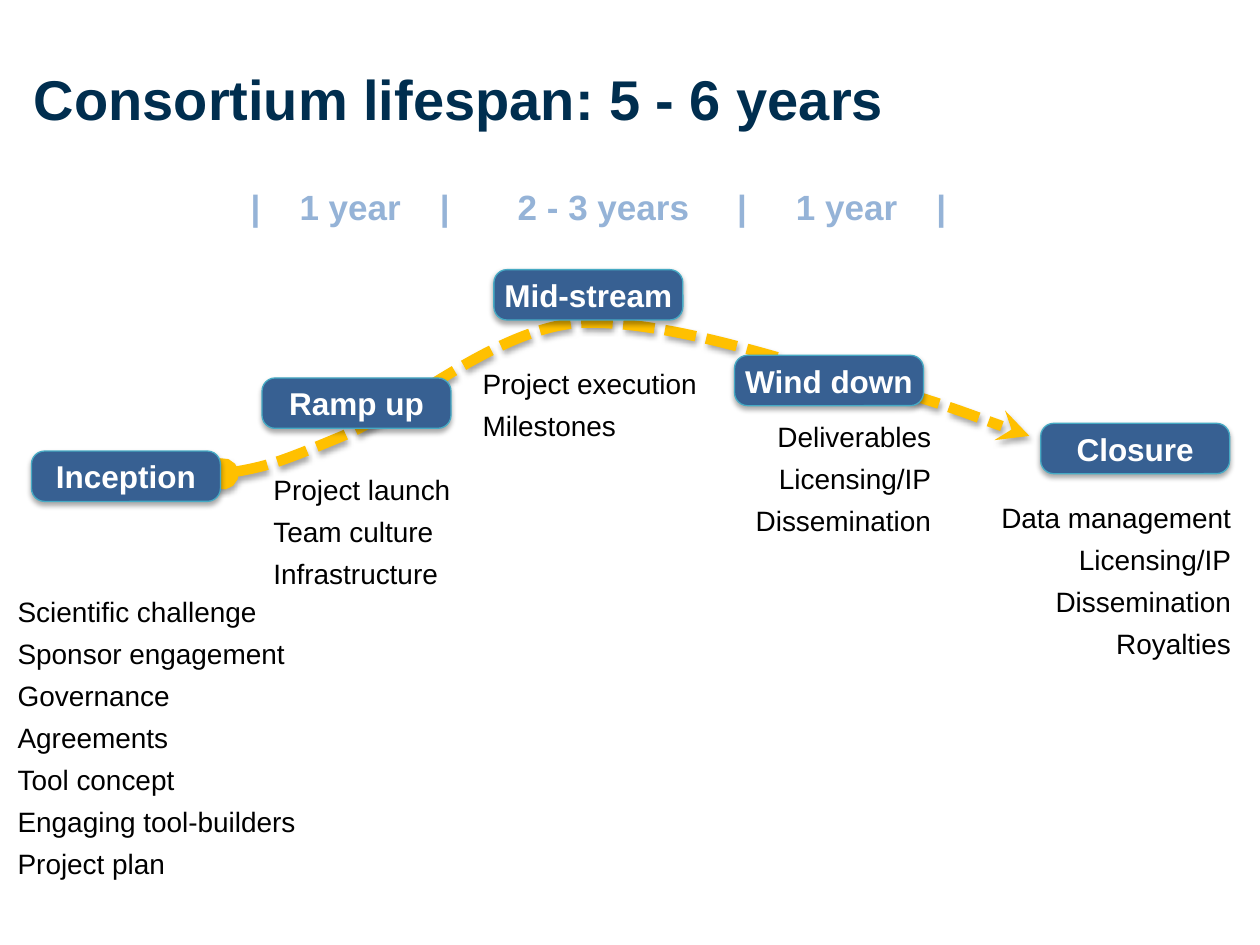
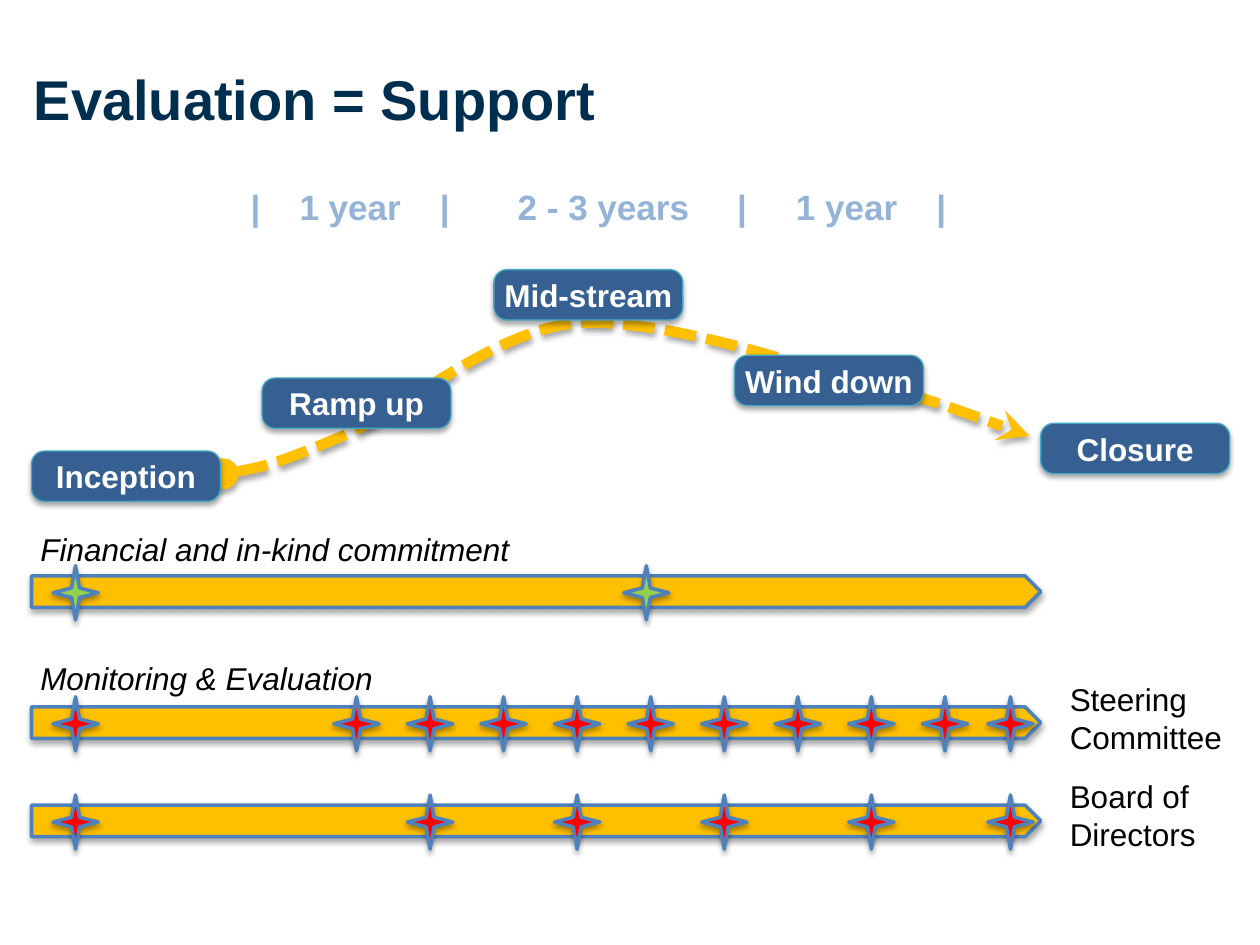
from lxml.etree import SubElement
from pptx import Presentation
from pptx.dml.color import RGBColor
from pptx.enum.dml import MSO_LINE
from pptx.enum.shapes import MSO_SHAPE
from pptx.enum.text import MSO_ANCHOR, MSO_AUTO_SIZE, PP_ALIGN
from pptx.oxml.ns import qn
from pptx.util import Inches, Pt

COLORS = {
    "title": "002E4F", "duration": "95B3D7", "text": "000000", "white": "FFFFFF",
    "stage": "376092", "stage_line": "46AAC4", "gold": "FFC000",
    "outline": "4F81BD", "green": "92D050", "red": "FF0000",
}
FORMATS = {
    "title": {"size": Pt(32), "bold": True},
    "duration": {"size": Pt(20), "bold": True},
    "stage": {"size": Pt(18), "bold": True},
    "list": {"size": Pt(16)},
    "heading": {"size": Pt(18), "italic": True},
    "label": {"size": Pt(18)},
}
STAGES = [("Inception", 0.25, 3.58), ("Ramp up", 2.08, 3), ("Mid-stream", 3.92, 2.14),
          ("Wind down", 5.83, 2.82), ("Closure", 8.26, 3.36)]
# Start point, then three points (two controls and an end) for each curve
LIFE_CURVE = [(1.77, 3.76),
              (2.1, 3.71), (2.24, 3.66), (2.72, 3.46),
              (3.21, 3.26), (4, 2.54), (4.7, 2.56),
              (5.4, 2.57), (6.21, 2.86), (6.79, 3.01),
              (7.37, 3.16), (7.94, 3.38), (8.17, 3.46)]
DURATIONS = "|\t1 year\t|\t2 - 3 years\t|\t1 year\t|"
DURATION_TABS = [0.79, 1.54, 2.8, 3.9, 4.73, 5.48]
TASKS = [
    ((0.09, 4.67, 2.33, 2.32), 0.05, PP_ALIGN.LEFT,
     ["Scientific challenge", "Sponsor engagement", "Governance", "Agreements",
      "Tool concept", "Engaging tool-builders", "Project plan"]),
    ((2.17, 3.75, 1.42, 0.92), 0, PP_ALIGN.LEFT,
     ["Project launch", "Team culture", "Infrastructure"]),
    ((3.83, 2.91, 1.72, 0.59), 0, PP_ALIGN.LEFT, ["Project execution", "Milestones"]),
    ((5.98, 3.33, 1.41, 0.92), 0, PP_ALIGN.RIGHT,
     ["Deliverables", "Licensing/IP", "Dissemination"]),
    ((7.92, 3.97, 1.85, 1.28), 0, PP_ALIGN.RIGHT,
     ["Data management", "Licensing/IP", "Dissemination", "Royalties"]),
]
FUNDING_STARS = [0.42, 4.95]
STEERING_STARS = [0.42, *(2.65 + step * 4.67 / 8 for step in range(9)), 7.84]
BOARD_STARS = STEERING_STARS[::2]


def rgb(name):
    return RGBColor.from_string(COLORS[name])


class Composer:
    def __init__(self, deck):
        self.deck = deck
        self.page = None

    def new_page(self, title):
        self.page = self.deck.slides.add_slide(self.deck.slide_layouts[6])
        self.text((0.17, 0.24, 9.58, 1.07), [title], "title", "title", inset=0.1,
                  wrap=True, anchor=MSO_ANCHOR.MIDDLE)

    def fill_frame(self, frame, lines, style, color, inset=0.05, align=PP_ALIGN.LEFT,
                   wrap=False, anchor=MSO_ANCHOR.TOP, tabs=()):
        """Put one formatted paragraph per line into a text frame."""
        layout = {"word_wrap": wrap, "vertical_anchor": anchor}
        layout.update((f"margin_{side}", Inches(inset))
                      for side in ("left", "top", "right", "bottom"))
        for name, value in layout.items():
            setattr(frame, name, value)
        for index, line in enumerate(lines):
            para = frame.add_paragraph() if index else frame.paragraphs[0]
            para.text = line
            para.alignment = align
            if index:
                para.space_before = Pt(4.8)
            if tabs:
                stops = SubElement(para._p.get_or_add_pPr(), qn("a:tabLst"))
                for stop in tabs:
                    SubElement(stops, qn("a:tab"), pos=str(Inches(stop)), algn="ctr")
            for span in para.runs:
                span.font.name = "Arial"
                span.font.color.rgb = rgb(color)
                for name, value in FORMATS[style].items():
                    setattr(span.font, name, value)

    def text(self, place, lines, style, color="text", **options):
        box = self.page.shapes.add_textbox(*map(Inches, place))
        self.fill_frame(box.text_frame, lines, style, color, **options)
        if style != "title":
            box.text_frame.auto_size = MSO_AUTO_SIZE.SHAPE_TO_FIT_TEXT

    def finish(self, shape, line, width, fill=None):
        """Give a shape its fill, outline and soft drop shadow."""
        if fill:
            shape.fill.solid()
            shape.fill.fore_color.rgb = rgb(fill)
        else:
            shape.fill.background()
        shape.line.color.rgb = rgb(line)
        shape.line.width = Pt(width)
        shape.shadow.inherit = False
        effects = shape.element.spPr.find(qn("a:effectLst"))
        shadow = SubElement(effects, qn("a:outerShdw"), blurRad=str(Pt(3)),
                            dist=str(Pt(1.8)), dir="5400000", rotWithShape="0")
        black = SubElement(shadow, qn("a:srgbClr"), val="000000")
        SubElement(black, qn("a:alpha"), val="35000")

    def shape(self, kind, place, fill, line="outline", width=2):
        shape = self.page.shapes.add_shape(kind, *map(Inches, place))
        self.finish(shape, line, width, fill)
        return shape

    def curve(self, points):
        """Draw a dashed arrow along cubic curves."""
        start, *rest = [(Inches(x), Inches(y)) for x, y in points]
        builder = self.page.shapes.build_freeform(*start)
        builder.add_line_segments(rest, close=False)
        arrow = builder.convert_to_shape()
        outline = arrow.element.find(".//" + qn("a:path"))
        segments = outline.findall(qn("a:lnTo"))
        for first in range(0, len(segments), 3):
            bezier = SubElement(outline, qn("a:cubicBezTo"))
            for segment in segments[first:first + 3]:
                bezier.append(segment[0])
                outline.remove(segment)
        self.finish(arrow, "gold", 6)
        arrow.line.dash_style = MSO_LINE.SQUARE_DOT
        stroke = arrow.element.spPr.find(qn("a:ln"))
        SubElement(stroke, qn("a:headEnd"), type="oval")
        SubElement(stroke, qn("a:tailEnd"), type="stealth")

    def lifespan(self):
        self.curve(LIFE_CURVE)
        for name, left, top in STAGES:
            stage = self.shape(MSO_SHAPE.ROUNDED_RECTANGLE, (left, top, 1.5, 0.4),
                               "stage", "stage_line", 0.75)
            stage.adjustments[0] = 0.26
            self.fill_frame(stage.text_frame, [name], "stage", "white", inset=0, wrap=True,
                            align=PP_ALIGN.CENTER, anchor=MSO_ANCHOR.MIDDLE)
        self.text((1.94, 1.42, 6.06, 0.44), [DURATIONS], "duration", "duration",
                  wrap=True, tabs=DURATION_TABS)

    def timeline(self, top, stars, color):
        self.shape(MSO_SHAPE.PENTAGON, (0.25, top, 8.01, 0.25), "gold")
        for left in stars:
            self.shape(MSO_SHAPE.STAR_4_POINT, (left, top - 0.08, 0.36, 0.43), color)


def main():
    deck = Presentation()
    deck.slide_width, deck.slide_height = Inches(10), Inches(7.5)
    composer = Composer(deck)

    composer.new_page("Consortium lifespan: 5 - 6 years")
    composer.lifespan()
    for place, inset, align, lines in TASKS:
        composer.text(place, lines, "list", inset=inset, align=align)

    composer.new_page("Evaluation = Support")
    composer.lifespan()
    composer.text((0.27, 4.16, 3.99, 0.4), ["Financial and in-kind commitment"], "heading")
    composer.timeline(4.57, FUNDING_STARS, "green")
    composer.text((0.27, 5.18, 2.77, 0.4), ["Monitoring & Evaluation"], "heading")
    composer.timeline(5.61, STEERING_STARS, "red")
    composer.text((8.44, 5.35, 1.32, 0.71), ["Steering\nCommittee"], "label")
    composer.timeline(6.39, BOARD_STARS, "red")
    composer.text((8.44, 6.12, 1.11, 0.71), ["Board of\nDirectors"], "label")

    deck.save("out.pptx")


if __name__ == "__main__":
    main()
